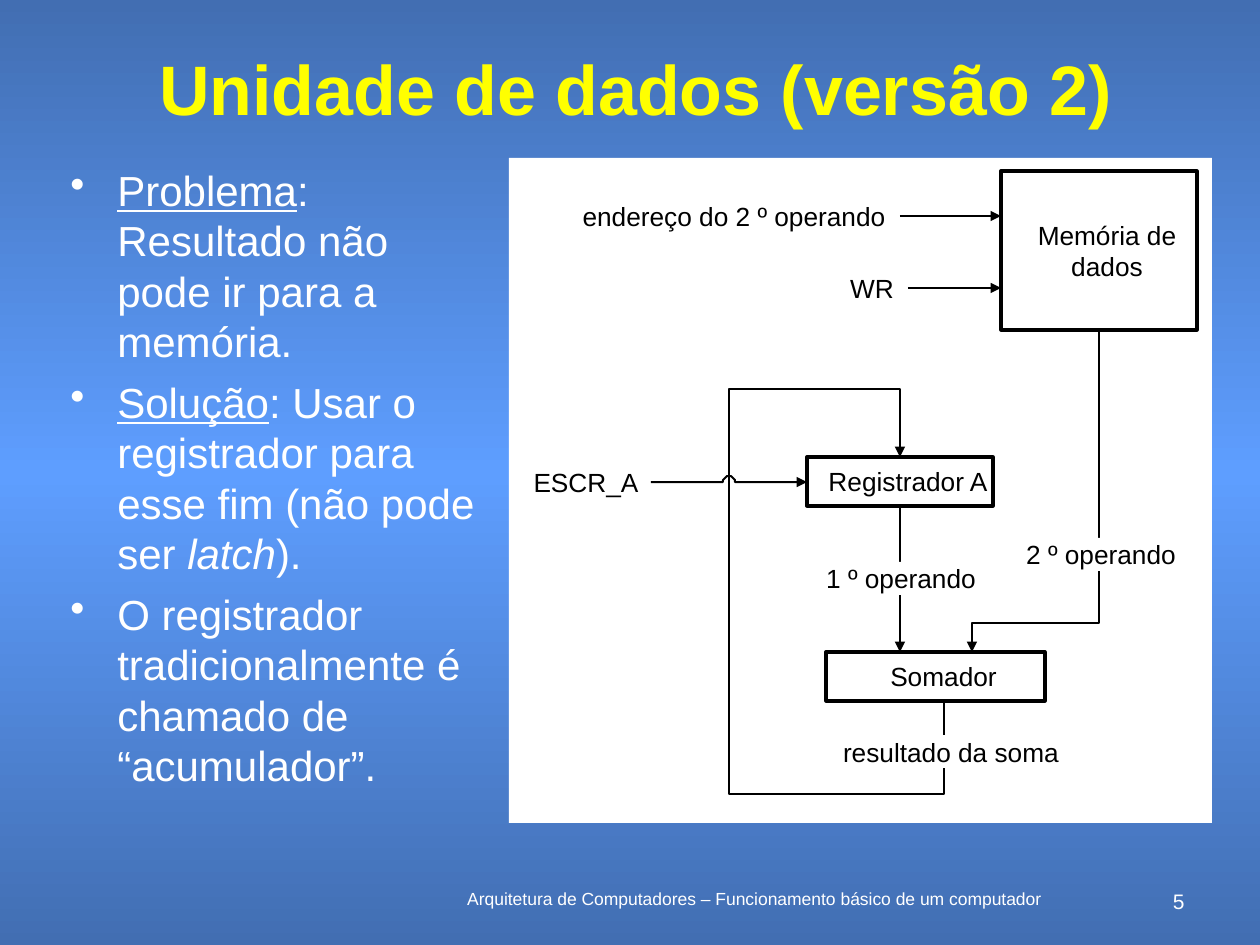
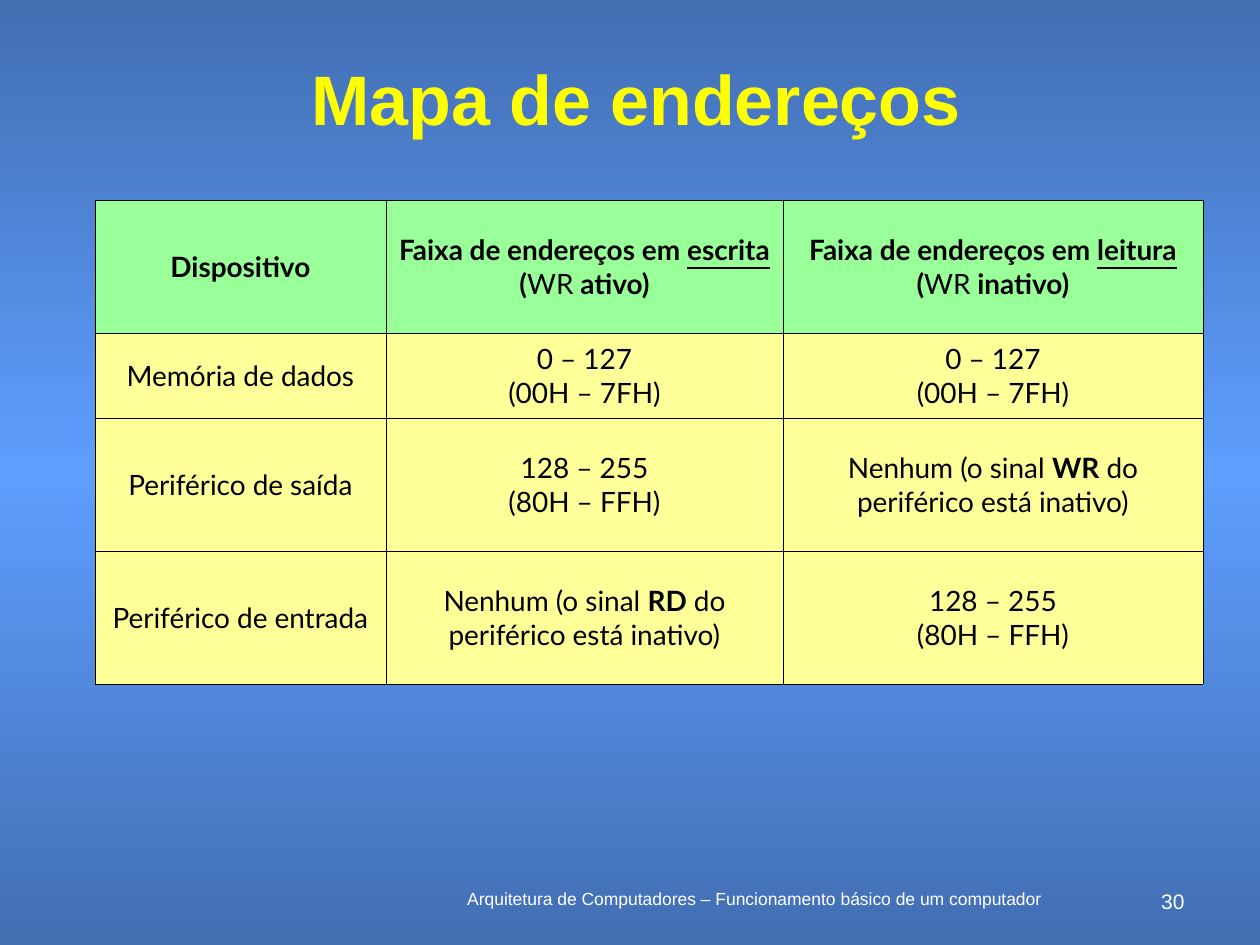
from math import cos, pi, sin
from copy import deepcopy

from lxml.etree import SubElement
from pptx import Presentation
from pptx.dml.color import RGBColor
from pptx.enum.shapes import MSO_CONNECTOR, MSO_SHAPE
from pptx.enum.text import MSO_ANCHOR, PP_ALIGN
from pptx.oxml.ns import qn
from pptx.util import Emu, Pt

PX = 914400 / 126
WHITE = RGBColor(0xFF, 0xFF, 0xFF)
BLACK = RGBColor(0x00, 0x00, 0x00)
YELLOW = RGBColor(0xFF, 0xFF, 0x00)
EDGE_BLUE = RGBColor(0x42, 0x6E, 0xB2)
MIDDLE_BLUE = RGBColor(0x5E, 0x9E, 0xFF)
HEADER_GREEN = RGBColor(0x99, 0xFF, 0x99)
BODY_YELLOW = RGBColor(0xFF, 0xFF, 0x99)
FOOTER = "Arquitetura de Computadores – Funcionamento básico de um computador"
BULLET_INDENT = 47
WIRE_WIDTH = 1.13
HOP_RADIUS = 6


def px(*lengths):
    return [Emu(round(length * PX)) for length in lengths]


def write_text(frame, paragraphs, size, color=BLACK, font="Arial", bold=False,
               align=PP_ALIGN.CENTER, line_spacing=None, space_before=0, bullet=None):
    for index, runs in enumerate(paragraphs):
        paragraph = frame.add_paragraph() if index else frame.paragraphs[0]
        if bullet:
            properties = paragraph._p.get_or_add_pPr()
            indent = round(BULLET_INDENT * PX)
            properties.set("marL", str(indent))
            properties.set("indent", str(-indent))
            SubElement(properties, qn("a:buChar")).set("char", bullet)
        paragraph.alignment = align
        if line_spacing:
            paragraph.line_spacing = line_spacing
        if index and space_before:
            paragraph.space_before = Pt(space_before)
        for part in [runs] if isinstance(runs, str) else runs:
            text, toggles = (part, "") if isinstance(part, str) else part
            run = paragraph.add_run()
            run.text = text
            run.font.size = Pt(size)
            run.font.name = font
            run.font.color.rgb = color
            run.font.bold = bold != ("b" in toggles)
            run.font.underline = "u" in toggles
            run.font.italic = "i" in toggles


def add_text(slide, box, paragraphs, anchor=MSO_ANCHOR.TOP, **text_format):
    shape = slide.shapes.add_textbox(*px(*box))
    shape.text_frame.word_wrap = True
    shape.text_frame.vertical_anchor = anchor
    write_text(shape.text_frame, paragraphs, **text_format)
    return shape


def paint_background(master):
    fill = master.background.fill
    fill.gradient()
    fill.gradient_angle = 90
    stop_list = master.element.find(".//" + qn("a:gsLst"))
    stop_list.append(deepcopy(stop_list[-1]))
    colors = (EDGE_BLUE, MIDDLE_BLUE, EDGE_BLUE)
    for index, (stop, color) in enumerate(zip(fill.gradient_stops, colors)):
        stop.color.rgb = color
        stop.position = index / 2


def add_base_slide(presentation, title, title_box, number):
    slide = presentation.slides.add_slide(presentation.slide_layouts[6])
    add_text(slide, (418, 882, 672, 32), [FOOTER], size=10, color=WHITE)
    add_text(slide, (1144, 882, 53, 21), [str(number)], size=12, color=WHITE,
             align=PP_ALIGN.RIGHT)
    add_text(slide, title_box, [title], anchor=MSO_ANCHOR.MIDDLE, size=40,
             color=YELLOW, bold=True, line_spacing=0.8)
    return slide


def add_rectangle(slide, box):
    shape = slide.shapes.add_shape(MSO_SHAPE.RECTANGLE, *px(*box))
    shape.shadow.inherit = False
    shape.fill.solid()
    shape.fill.fore_color.rgb = WHITE
    shape.line.fill.background()
    return shape


def style_wire(wire):
    wire.line.color.rgb = BLACK
    wire.line.width = Pt(WIRE_WIDTH)
    SubElement(wire.line._get_or_add_ln(), qn("a:tailEnd")).set("type", "triangle")


def add_datapath(slide, box):
    left, top, width, height = box
    add_rectangle(slide, box)

    def add_block(text, x, y, block_width, block_height):
        block = add_rectangle(slide, (left + x, top + y, block_width, block_height))
        block.line.color.rgb = BLACK
        block.line.width = Pt(1.87)
        frame = block.text_frame
        frame.word_wrap = True
        frame.margin_left, frame.margin_right = px(16, 0)
        frame.margin_top = frame.margin_bottom = 0
        frame.vertical_anchor = MSO_ANCHOR.MIDDLE
        write_text(frame, [text], size=15)
        return block

    def add_straight_wire(start, end):
        wire = slide.shapes.add_connector(
            MSO_CONNECTOR.STRAIGHT,
            *px(left + start[0], top + start[1], left + end[0], top + end[1]))
        style_wire(wire)
        SubElement(wire._element.spPr, qn("a:effectLst"))
        return wire

    def add_bent_wire(points):
        builder = slide.shapes.build_freeform(*points[0], scale=PX)
        builder.add_line_segments(points[1:], close=False)
        wire = builder.convert_to_shape(*px(left, top))
        wire.shadow.inherit = False
        wire.fill.background()
        style_wire(wire)

    def add_label(text, center_x, center_y, label_width):
        label = add_text(
            slide, (left + center_x - label_width / 2, top + center_y - 16, label_width, 33),
            [text], anchor=MSO_ANCHOR.MIDDLE, size=15)
        frame = label.text_frame
        frame.word_wrap = False
        frame.margin_left = frame.margin_right = frame.margin_top = frame.margin_bottom = 0
        label.fill.solid()
        label.fill.fore_color.rgb = WHITE

    add_block("Memória de dados", 492, 13, 196, 159)
    register = add_block("Registrador A", 298, 299, 186, 49)
    add_block("Somador", 317, 494, 219, 49)

    add_straight_wire((391, 58), (492, 58))
    add_straight_wire((399, 130), (492, 130))
    add_straight_wire((391, 348), (391, 494)).begin_connect(register, 2)

    loop_x, enable_y = 220, 324
    add_bent_wire([(590, 172), (590, 465), (463, 465), (463, 494)])
    add_bent_wire([(435, 543), (435, 636), (loop_x, 636), (loop_x, 231),
                   (391, 231), (391, 299)])
    hop = [(loop_x - HOP_RADIUS * cos(pi * step / 12),
            enable_y - HOP_RADIUS * sin(pi * step / 12)) for step in range(13)]
    add_bent_wire([(142, enable_y), *hop, (298, enable_y)])

    for label in (
        ("endereço do 2 º operando", 225, 58, 310),
        ("WR", 363, 130, 44),
        ("ESCR_A", 77, enable_y, 106),
        ("1 º operando", 392, 420, 156),
        ("2 º operando", 592, 396, 156),
        ("resultado da soma", 442, 593, 216),
    ):
        add_label(*label)


def add_border(cell):
    properties = cell._tc.get_or_add_tcPr()
    for side in ("lnL", "lnR", "lnT", "lnB"):
        line = SubElement(properties, qn("a:" + side))
        line.set("w", str(Pt(0.34)))
        fill = SubElement(line, qn("a:solidFill"))
        SubElement(fill, qn("a:srgbClr")).set("val", str(BLACK))


def add_address_table(slide, left, top, column_widths, row_heights, rows):
    box = px(left, top, sum(column_widths), sum(row_heights))
    table = slide.shapes.add_table(len(rows), len(column_widths), *box).table
    table.horz_banding = False
    for column, width in zip(table.columns, px(*column_widths)):
        column.width = width
    for row, height in zip(table.rows, px(*row_heights)):
        row.height = height
    for row_index, row in enumerate(rows):
        header = row_index == 0
        for column_index, paragraphs in enumerate(row):
            cell = table.cell(row_index, column_index)
            add_border(cell)
            cell.fill.solid()
            cell.fill.fore_color.rgb = HEADER_GREEN if header else BODY_YELLOW
            cell.vertical_anchor = MSO_ANCHOR.MIDDLE
            write_text(cell.text_frame, paragraphs, size=16, font="Lato", bold=header)


def build_data_unit_slide(presentation):
    slide = add_base_slide(presentation, "Unidade de dados (versão 2)",
                           (95, 53, 1081, 84), 5)
    add_text(slide, (58, 158, 441, 685), [
        [("Problema", "u"), ": Resultado não pode ir para a memória."],
        [("Solução", "u"), ": Usar o registrador para esse fim (não pode ser ",
         ("latch", "i"), ")."],
        "O registrador tradicionalmente é chamado de “acumulador”.",
    ], size=24, color=WHITE, align=PP_ALIGN.LEFT, space_before=6, bullet="•")
    add_datapath(slide, (509, 158, 703, 665))


def build_address_map_slide(presentation):
    slide = add_base_slide(presentation, "Mapa de endereços", (66, 63, 1140, 84), 30)

    def range_header(operation, state):
        return [["Faixa de endereços em ", (operation, "u"), " (", ("WR", "b"), f" {state})"]]

    def no_range(signal):
        return [["Nenhum (o sinal ", (signal, "b"), " do periférico está inativo)"]]

    low_range = ["0 – 127", "(00H – 7FH)"]
    high_range = ["128 – 255", "(80H – FFH)"]
    add_address_table(slide, 95, 200, (291, 397, 420), (133, 85, 133, 133), [
        (["Dispositivo"], range_header("escrita", "ativo"), range_header("leitura", "inativo")),
        (["Memória de dados"], low_range, low_range),
        (["Periférico de saída"], high_range, no_range("WR")),
        (["Periférico de entrada"], no_range("RD"), high_range),
    ])


def main():
    presentation = Presentation()
    presentation.slide_width, presentation.slide_height = px(1260, 945)
    paint_background(presentation.slide_master)
    build_data_unit_slide(presentation)
    build_address_map_slide(presentation)
    presentation.save("out.pptx")


if __name__ == "__main__":
    main()
